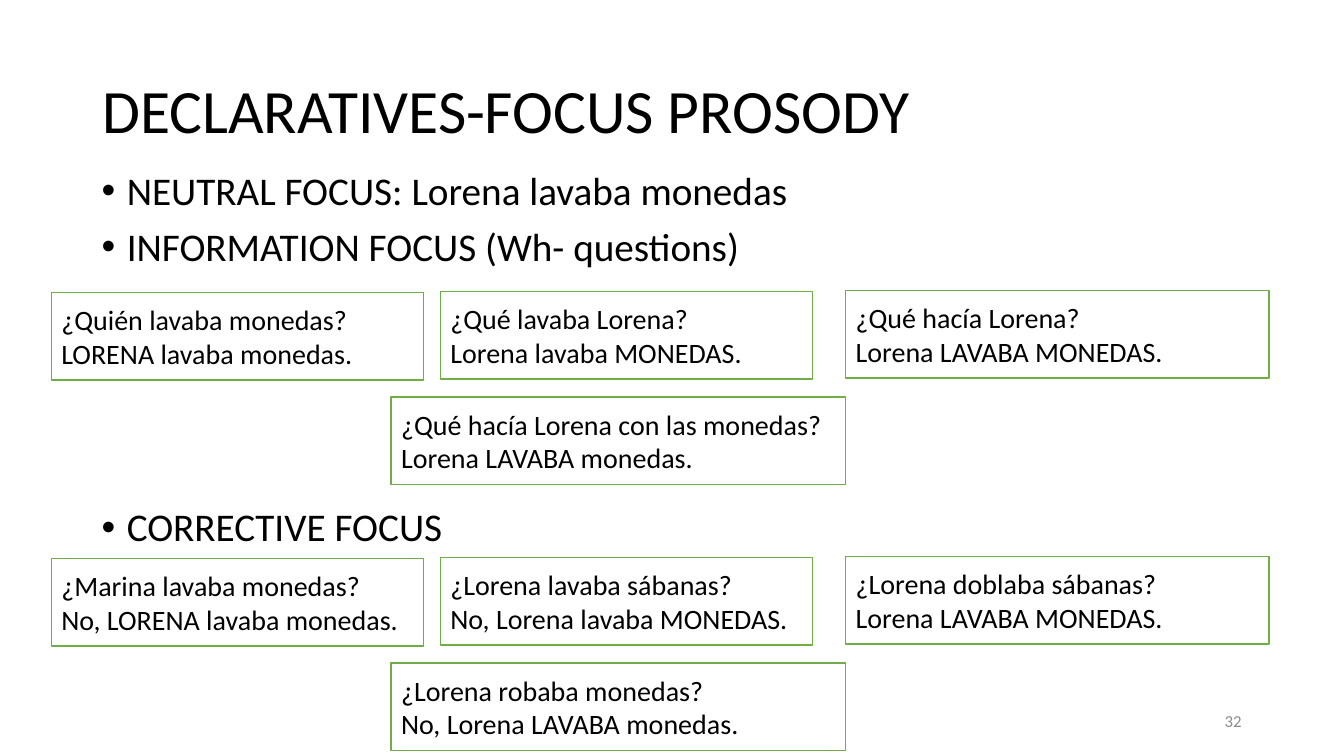
"""Build a slide on focus prosody in Spanish declaratives."""
from pptx import Presentation
from pptx.dml.color import RGBColor
from pptx.enum.shapes import MSO_SHAPE as SHAPE
from pptx.enum.text import MSO_ANCHOR as ANCHOR, PP_ALIGN as ALIGN
from pptx.oxml.ns import qn
from pptx.util import Pt
from lxml.etree import SubElement

COLOURS = {"text": "000000", "box": "FFFFFF", "border": "70AD47", "number": "8C8C8C"}


def colour(name):
    return RGBColor.from_string(COLOURS[name])


def write(shape, text, size, ink="text", anchor=ANCHOR.MIDDLE, align=ALIGN.LEFT):
    frame = shape.text_frame
    frame.word_wrap = True
    frame.vertical_anchor = anchor
    frame.text = text
    for paragraph in frame.paragraphs:
        paragraph.alignment = align
        for run in paragraph.runs:
            run.font.name = "Calibri"
            run.font.size = Pt(size)
            run.font.color.rgb = colour(ink)
    return frame.paragraphs


deck = Presentation()
deck.slide_width, deck.slide_height = Pt(960), Pt(540)
slide = deck.slides.add_slide(deck.slide_layouts[6])
shapes = slide.shapes

title = shapes.add_textbox(Pt(66), Pt(28.8), Pt(828), Pt(104.4))
write(title, "DECLARATIVES-FOCUS PROSODY", 44)[0].line_spacing = 0.9

focus_types = shapes.add_textbox(Pt(65.5), Pt(118.8), Pt(828), Pt(342.7))
headings = write(
    focus_types,
    "NEUTRAL FOCUS: Lorena lavaba monedas\n"
    "INFORMATION FOCUS (Wh- questions)\n"
    "CORRECTIVE FOCUS",
    28,
    anchor=ANCHOR.TOP,
)
for heading, gap in zip(headings, (0, 10, 170)):
    heading.line_spacing = 0.9
    heading.space_before = Pt(gap)
    properties = heading._p.get_or_add_pPr()
    properties.set("marL", str(Pt(18)))
    properties.set("indent", str(Pt(-18)))
    SubElement(properties, qn("a:buFont")).set("typeface", "Arial")
    SubElement(properties, qn("a:buChar")).set("char", "•")

places = [(36.7, 208.8, 265.7), (314.6, 208.1, 265.7), (279.4, 283.7, 324.7), (604.1, 207.4, 302.4)]
information = [
    "¿Quién lavaba monedas?\nLORENA lavaba monedas.",
    "¿Qué lavaba Lorena?\nLorena lavaba MONEDAS.",
    "¿Qué hacía Lorena con las monedas?\nLorena LAVABA monedas.",
    "¿Qué hacía Lorena?\nLorena LAVABA MONEDAS.",
]
corrective = [
    "¿Marina lavaba monedas?\nNo, LORENA lavaba monedas.",
    "¿Lorena lavaba sábanas?\nNo, Lorena lavaba MONEDAS.",
    "¿Lorena robaba monedas?\nNo, Lorena LAVABA monedas.",
    "¿Lorena doblaba sábanas?\nLorena LAVABA MONEDAS.",
]
for drop, dialogues in ((0, information), (190, corrective)):
    for (left, top, width), dialogue in zip(places, dialogues):
        box = shapes.add_shape(SHAPE.RECTANGLE, Pt(left), Pt(top + drop), Pt(width), Pt(62.6))
        box.shadow.inherit = False
        box.fill.solid()
        box.fill.fore_color.rgb = colour("box")
        box.line.color.rgb = colour("border")
        box.line.width = Pt(1)
        write(box, dialogue, 20)

page_number = shapes.add_textbox(Pt(678), Pt(500.5), Pt(216), Pt(28.8))
write(page_number, "32", 12, "number", align=ALIGN.RIGHT)

deck.save("out.pptx")
